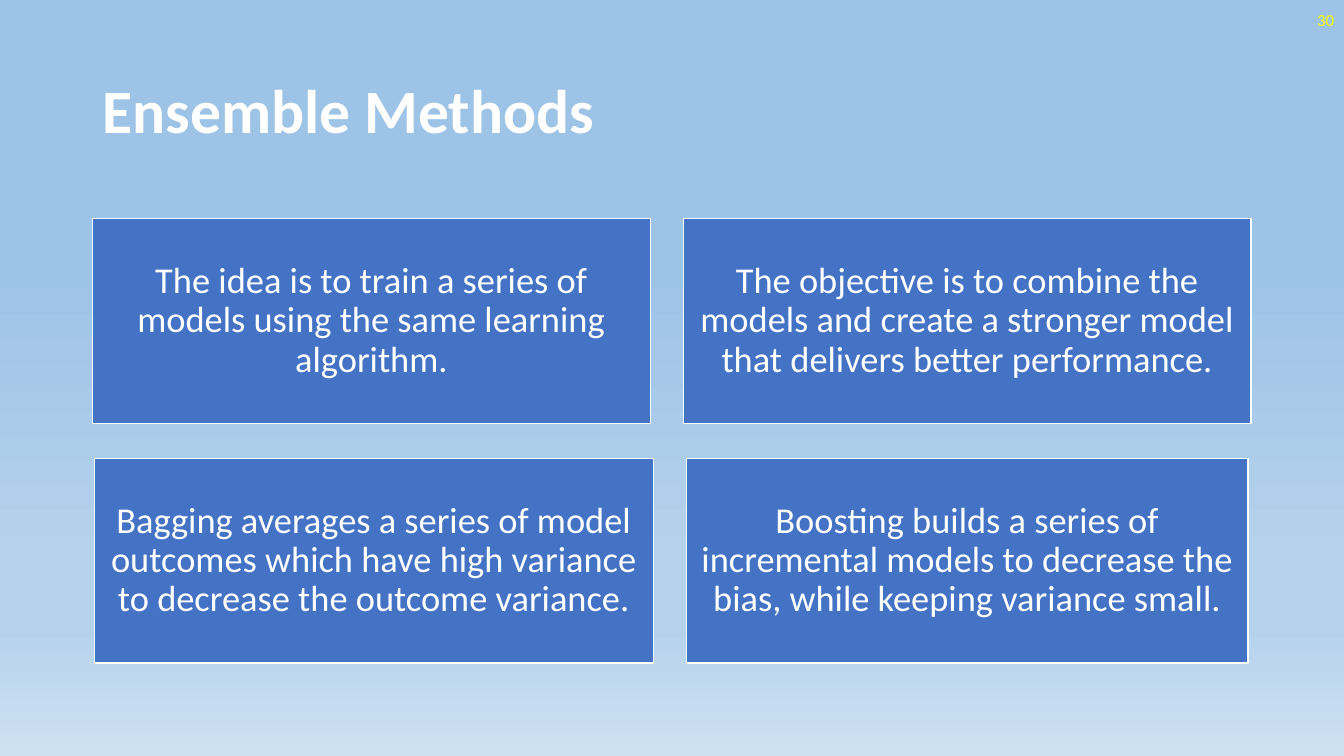
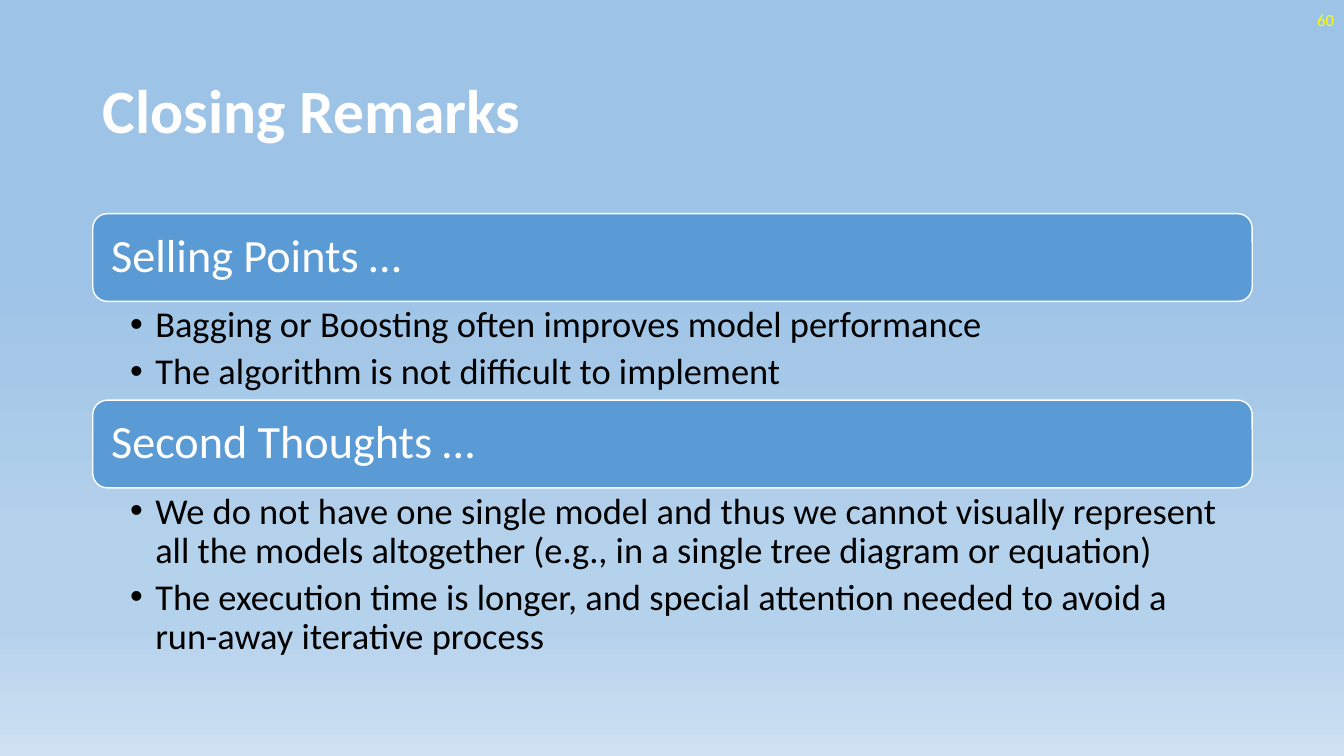
import pptx
import pptx.util
import pptx.dml.color
import pptx.enum.shapes
import pptx.enum.text
import pptx.oxml.ns
from lxml import etree

Inches = pptx.util.Inches
Pt = pptx.util.Pt
Align = pptx.enum.text.PP_ALIGN
Anchor = pptx.enum.text.MSO_ANCHOR
Preset = pptx.enum.shapes.MSO_SHAPE
qn = pptx.oxml.ns.qn

COLORS = {
    "sky": "9DC3E6",
    "mist": "B5D2EC",
    "haze": "CEE1F2",
    "card": "4472C4",
    "heading": "5B9BD5",
    "white": "FFFFFF",
    "black": "000000",
    "number": "FFFF00",
}
BACKGROUND_STOPS = [(35, "sky"), (74, "mist"), (83, "mist"), (100, "haze")]
FONT = "Calibri"
LEFT, WIDTH = 0.92, 11.5
TITLE_ONLY, TWO_CONTENT = 5, 3


def rgb(name):
    return pptx.dml.color.RGBColor.from_string(COLORS[name])


def write(frame, lines, size, color="white", bold=False, align=Align.LEFT,
          anchor=Anchor.MIDDLE, insets=(0.1, 0.05, 0.1, 0.05), spacing=0.9,
          after=0, bullet=None):
    frame.word_wrap = True
    frame.auto_size = pptx.enum.text.MSO_AUTO_SIZE.NONE
    frame.vertical_anchor = anchor
    (frame.margin_left, frame.margin_top,
     frame.margin_right, frame.margin_bottom) = map(Inches, insets)
    for index, line in enumerate(lines):
        paragraph = frame.add_paragraph() if index else frame.paragraphs[0]
        paragraph.alignment = align
        paragraph.line_spacing = spacing
        paragraph.space_before = Pt(0)
        paragraph.space_after = Pt(after)
        if bullet:
            paragraph.level = 1
            properties = paragraph._p.get_or_add_pPr()
            properties.set("marL", str(Inches(0.25)))
            properties.set("indent", str(Inches(-0.25)))
            etree.SubElement(properties, qn("a:buChar"), char=bullet)
        run = paragraph.add_run()
        run.text = line
        run.font.name = FONT
        run.font.size = Pt(size)
        run.font.bold = bold
        run.font.color.rgb = rgb(color)


def place(shape, left, top, width, height):
    shape.left, shape.top, shape.width, shape.height = map(
        Inches, (left, top, width, height))


class Deck:
    def __init__(self):
        self.presentation = pptx.Presentation()
        self.presentation.slide_width = Inches(13.33)
        self.presentation.slide_height = Inches(7.5)
        self.slide = None
        self.paint_background()

    def paint_background(self):
        master = self.presentation.slide_master
        fill = master.background.fill
        fill.gradient()
        fill.gradient_angle = 270
        stops = next(master.element.iter(qn("a:gsLst")))
        for stop in list(stops):
            stops.remove(stop)
        for percent, color in BACKGROUND_STOPS:
            stop = etree.SubElement(stops, qn("a:gs"), pos=str(percent * 1000))
            etree.SubElement(stop, qn("a:srgbClr"), val=COLORS[color])

    def start_slide(self, layout, title, number):
        layouts = self.presentation.slide_layouts
        self.slide = self.presentation.slides.add_slide(layouts[layout])
        heading = self.slide.shapes.title
        place(heading, LEFT, 0.4, WIDTH, 1.45)
        write(heading.text_frame, [title], size=44, bold=True)
        page_number = self.slide.shapes.add_textbox(
            Inches(10.33), Inches(0), Inches(3), Inches(0.4))
        write(page_number.text_frame, [number], size=12, color="number",
              align=Align.RIGHT, spacing=1)

    def panel(self, preset, box, fill, text, **style):
        panel = self.slide.shapes.add_shape(preset, *map(Inches, box))
        panel.shadow.inherit = False
        panel.fill.solid()
        panel.fill.fore_color.rgb = rgb(fill)
        panel.line.color.rgb = rgb("white")
        panel.line.width = Pt(1)
        write(panel.text_frame, [text], **style)

    def card(self, box, text):
        self.panel(Preset.RECTANGLE, box, "card", text, size=26,
                   align=Align.CENTER, insets=(0.11,) * 4)

    def section_bar(self, box, text):
        self.panel(Preset.ROUNDED_RECTANGLE, box, "heading", text, size=33,
                   insets=(0.14, 0.1, 0.14, 0.1))

    def bullet_list(self, index, box, points):
        body = self.slide.placeholders[index]
        place(body, *box)
        write(body.text_frame, points, size=26, color="black",
              anchor=Anchor.TOP, insets=(0.37, 0.05, 0.26, 0.05),
              after=5.2, bullet="•")


def add_ensemble_methods(deck):
    deck.start_slide(TITLE_ONLY, "Ensemble Methods", "30")
    card_height, gap = 2.03, 0.33
    rows = [
        (LEFT, 2.17, [
            (5.53, "The idea is to train a series of models using the same "
                   "learning algorithm."),
            (5.63, "The objective is to combine the models and create a "
                   "stronger model that delivers better performance."),
        ]),
        (0.94, 4.55, [
            (5.54, "Bagging averages a series of model outcomes which have "
                   "high variance to decrease the outcome variance."),
            (5.57, "Boosting builds a series of incremental models to "
                   "decrease the bias, while keeping variance small."),
        ]),
    ]
    for left, top, cards in rows:
        for width, text in cards:
            deck.card((left, top, width, card_height), text)
            left += width + gap


def add_closing_remarks(deck):
    deck.start_slide(TWO_CONTENT, "Closing Remarks", "60")
    sections = [
        ("Selling Points …", 0.98, [
            "Bagging or Boosting often improves model performance",
            "The algorithm is not difficult to implement",
        ]),
        ("Second Thoughts …", 1.79, [
            "We do not have one single model and thus we cannot visually "
            "represent all the models altogether (e.g., in a single tree "
            "diagram or equation)",
            "The execution time is longer, and special attention needed to "
            "avoid a run-away iterative process",
        ]),
    ]
    top, bar_height = 2.12, 0.87
    for index, (heading, list_height, points) in enumerate(sections, 1):
        deck.section_bar((LEFT, top, WIDTH, bar_height), heading)
        top += bar_height
        deck.bullet_list(index, (LEFT, top, WIDTH, list_height), points)
        top += list_height


def main():
    deck = Deck()
    add_ensemble_methods(deck)
    add_closing_remarks(deck)
    deck.presentation.save("out.pptx")


if __name__ == "__main__":
    main()
